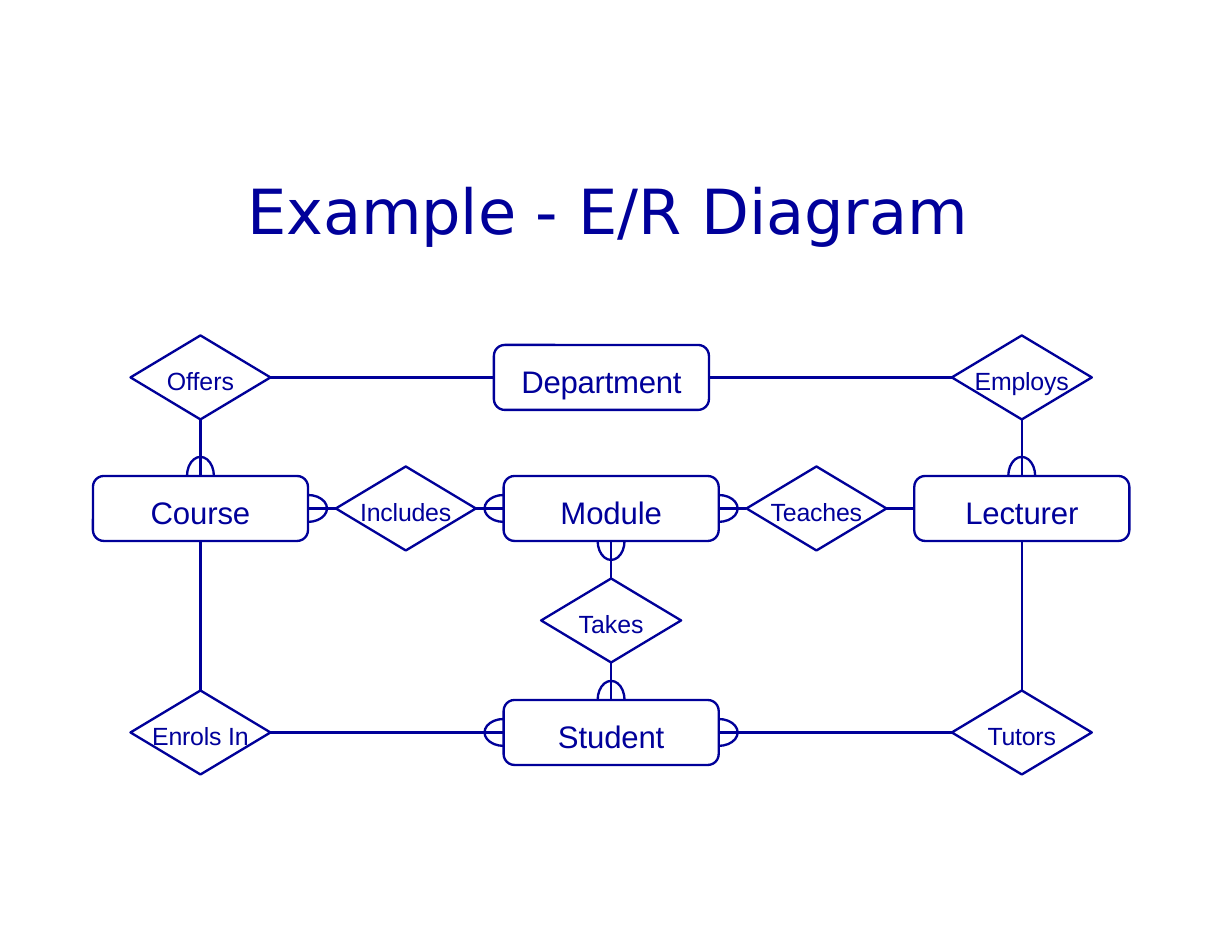
"""Builds the entity-relationship diagram slide."""
from dataclasses import dataclass
from math import cos, pi, sin

from lxml.etree import SubElement
from pptx import Presentation
from pptx.dml.color import RGBColor
from pptx.enum.shapes import MSO_CONNECTOR, MSO_SHAPE
from pptx.enum.text import MSO_ANCHOR, PP_ALIGN
from pptx.oxml.ns import qn
from pptx.util import Inches, Pt

INK = "00009A"
LINE = "000099"
TOP, LEFT, BOTTOM, RIGHT = range(4)
COLS = [1.79 + 5.5 * i / 3 for i in range(5)]
ROWS = [3.37, 4.54, 5.54, 6.54]


@dataclass(frozen=True)
class Kind:
    preset: MSO_SHAPE
    width: float
    height: float
    size: int
    inset: float


@dataclass(frozen=True)
class Node:
    name: str
    kind: Kind
    x: float
    y: float
    spacing: int = -10


@dataclass(frozen=True)
class Link:
    start: str
    start_side: int
    end: str
    end_side: int


ENTITY = Kind(MSO_SHAPE.ROUNDED_RECTANGLE, 1.92, 0.58, 20, 0.07)
RELATION = Kind(MSO_SHAPE.DIAMOND, 1.25, 0.75, 16, 0.06)

NODES = [
    Node("Department", ENTITY, 5.37, ROWS[0], -20),
    Node("Course", ENTITY, COLS[0], ROWS[1]),
    Node("Module", ENTITY, COLS[2], ROWS[1]),
    Node("Lecturer", ENTITY, COLS[4], ROWS[1]),
    Node("Student", ENTITY, COLS[2], ROWS[3]),
    Node("Offers", RELATION, COLS[0], ROWS[0], 0),
    Node("Employs", RELATION, COLS[4], ROWS[0]),
    Node("Includes", RELATION, COLS[1], ROWS[1]),
    Node("Teaches", RELATION, COLS[3], ROWS[1]),
    Node("Takes", RELATION, COLS[2], ROWS[2], 0),
    Node("Enrols In", RELATION, COLS[0], ROWS[3]),
    Node("Tutors", RELATION, COLS[4], ROWS[3]),
]

LINKS = [
    Link("Department", LEFT, "Offers", RIGHT),
    Link("Department", RIGHT, "Employs", LEFT),
    Link("Offers", BOTTOM, "Course", TOP),
    Link("Employs", BOTTOM, "Lecturer", TOP),
    Link("Course", RIGHT, "Includes", LEFT),
    Link("Includes", RIGHT, "Module", LEFT),
    Link("Module", RIGHT, "Teaches", LEFT),
    Link("Teaches", RIGHT, "Lecturer", LEFT),
    Link("Module", BOTTOM, "Takes", TOP),
    Link("Takes", BOTTOM, "Student", TOP),
    Link("Course", BOTTOM, "Enrols In", TOP),
    Link("Lecturer", BOTTOM, "Tutors", TOP),
    Link("Enrols In", RIGHT, "Student", LEFT),
    Link("Student", RIGHT, "Tutors", LEFT),
]

MANY_ENDS = [
    ("Course", TOP), ("Course", RIGHT), ("Lecturer", TOP),
    ("Module", LEFT), ("Module", RIGHT), ("Module", BOTTOM),
    ("Student", TOP), ("Student", LEFT), ("Student", RIGHT),
]


def color(value: str) -> RGBColor:
    return RGBColor.from_string(value)


def write(s, *parts: tuple[str, int], size: float, font: str = "Arial",
          top: float = 0, align=PP_ALIGN.CENTER, anchor=MSO_ANCHOR.MIDDLE,
          leading=None) -> None:
    tf = s.text_frame
    tf.word_wrap = False
    tf.vertical_anchor = anchor
    tf.margin_left = tf.margin_right = tf.margin_bottom = 0
    tf.margin_top = Inches(top)
    p = tf.paragraphs[0]
    p.alignment = align
    p.line_spacing = leading
    for text, spacing in parts:
        r = p.add_run()
        r.text = text
        r.font.name = font
        r.font.size = Pt(size)
        r.font.color.rgb = color(INK)
        r.font._element.set("spc", str(spacing))


def outline(s) -> None:
    s.line.color.rgb = color(LINE)
    s.line.width = Pt(1.5)


def draw_node(slide, node: Node):
    k = node.kind
    s = slide.shapes.add_shape(
        k.preset, Inches(node.x - k.width / 2), Inches(node.y - k.height / 2),
        Inches(k.width), Inches(k.height))
    s.shadow.inherit = False
    s.fill.background()
    outline(s)
    write(s, (node.name, node.spacing), size=k.size, top=k.inset)
    return s


def draw_link(slide, link: Link, shapes: dict) -> None:
    c = slide.shapes.add_connector(
        MSO_CONNECTOR.STRAIGHT, Inches(1), Inches(1), Inches(2), Inches(2))
    c.begin_connect(shapes[link.start], link.start_side)
    c.end_connect(shapes[link.end], link.end_side)
    outline(c)
    SubElement(c._element.spPr, qn("a:effectLst"))


def draw_many_end(slide, node: Node, side: int) -> None:
    out_x, out_y = [(0, -1), (-1, 0), (0, 1), (1, 0)][side]
    x = node.x + out_x * node.kind.width / 2
    y = node.y + out_y * node.kind.height / 2
    points = []
    for i in range(13):
        across, depth = 0.12 * cos(pi * i / 12), 0.17 * sin(pi * i / 12)
        points.append((Inches(x + out_x * depth + out_y * across),
                       Inches(y + out_y * depth + out_x * across)))
    builder = slide.shapes.build_freeform(*points[0])
    builder.add_line_segments(points[1:], close=False)
    s = builder.convert_to_shape()
    s.shadow.inherit = False
    s.fill.background()
    outline(s)


def main() -> None:
    prs = Presentation()
    prs.slide_width, prs.slide_height = Inches(11), Inches(8.5)
    slide = prs.slides.add_slide(prs.slide_layouts[6])
    title = slide.shapes.add_textbox(
        Inches(2.21), Inches(1.54), Inches(6.5), Inches(0.66))
    write(title, ("Exampl", -10), ("e - ", 0), ("E/", -10), ("R Diagram", 0),
          size=40, font="DejaVu Sans", align=PP_ALIGN.LEFT,
          anchor=MSO_ANCHOR.TOP, leading=Pt(47.9))
    nodes = {node.name: node for node in NODES}
    shapes = {node.name: draw_node(slide, node) for node in NODES}
    for link in LINKS:
        draw_link(slide, link, shapes)
    for name, side in MANY_ENDS:
        draw_many_end(slide, nodes[name], side)
    prs.save("out.pptx")


if __name__ == "__main__":
    main()
